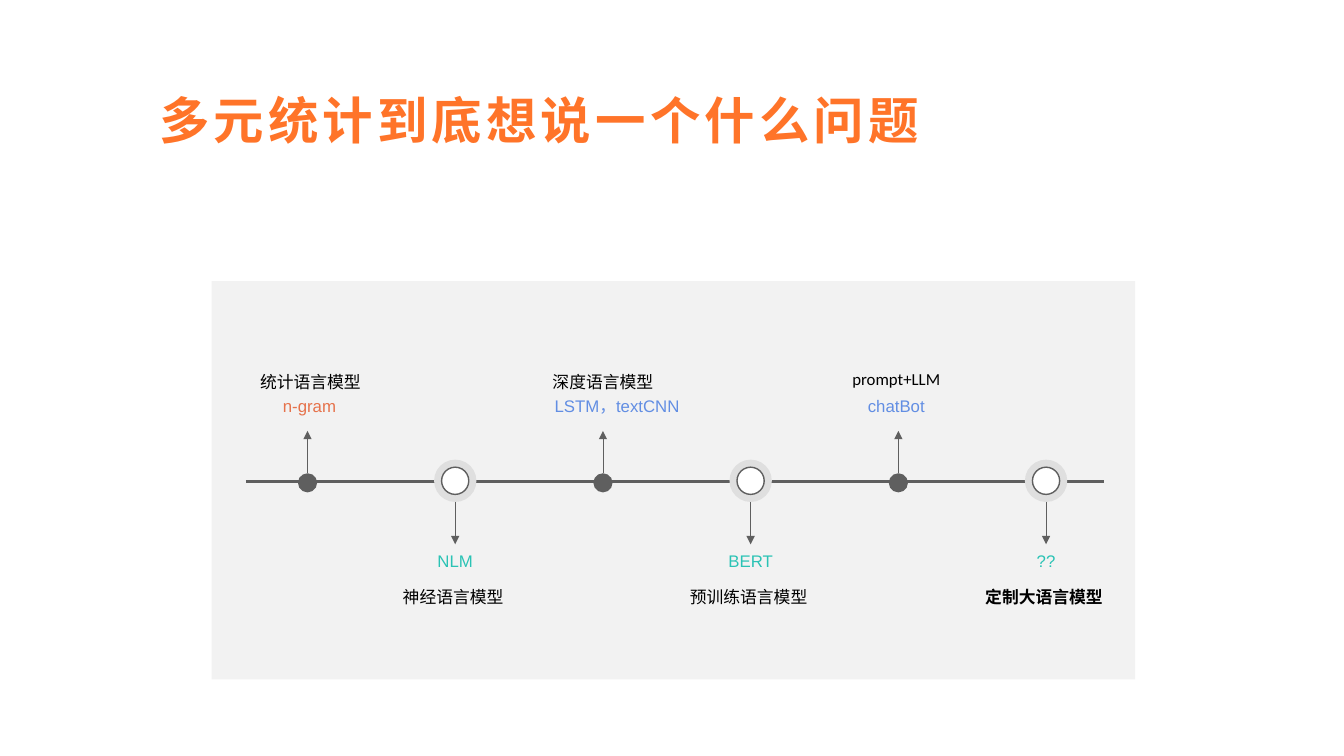
from dataclasses import dataclass

from lxml import etree
from pptx import Presentation
from pptx.dml.color import RGBColor
from pptx.enum.shapes import MSO_CONNECTOR, MSO_SHAPE
from pptx.enum.text import MSO_ANCHOR, PP_ALIGN
from pptx.oxml.ns import qn
from pptx.util import Inches, Pt

STRAIGHT = MSO_CONNECTOR.STRAIGHT
RECT, OVAL = MSO_SHAPE.RECTANGLE, MSO_SHAPE.OVAL
TOP, MIDDLE, BOTTOM = MSO_ANCHOR.TOP, MSO_ANCHOR.MIDDLE, MSO_ANCHOR.BOTTOM
LEFT, CENTER = PP_ALIGN.LEFT, PP_ALIGN.CENTER

CJK = "Noto Sans CJK SC"
GREY, BLACK, WHITE = "5F5F5F", "000000", "FFFFFF"
PANEL, RING, ORANGE = "F2F2F2", "DFDFDF", "FF7429"
CORAL, BLUE, TEAL = "E6724B", "628EE3", "2BC3B5"

# Timeline grid in inches: one column per stage, named rows
FIRST_X, COLUMN = 3.05, 1.465
AXIS_Y, DOT_Y, RING_Y = 4.78, 4.79, 4.77
DOT, RING_OUTER, RING_INNER, ARROW = 0.19, 0.42, 0.27, 0.42
EXAMPLE_H, NAME_W, NAME_H = 0.45, 1.67, 0.77
EXAMPLE_ABOVE, NAME_ABOVE = 3.82, 3.17
EXAMPLE_BELOW, NAME_BELOW = 5.35, 5.75


@dataclass
class Stage:
    """One model generation; the shifts move its texts off the column centre."""
    name: str
    example: str
    color: str
    name_shift: float = -0.02
    example_shift: float = 0.0
    example_w: float = 1.64
    name_h: float = NAME_H
    bold: bool = False


STAGES = [
    Stage("统计语言模型", "n-gram", CORAL, 0.03, 0.02),
    Stage("神经语言模型", "NLM", TEAL),
    Stage("深度语言模型", "LSTM，textCNN", BLUE, 0.0, 0.14, 1.92),
    Stage("预训练语言模型", "BERT", TEAL),
    Stage("prompt+LLM", "chatBot", BLUE, -0.02, -0.02, name_h=0.74),
    Stage("定制大语言模型", "??", TEAL, bold=True),
]


def rgb(color: str) -> RGBColor:
    return RGBColor.from_string(color)


def add_block(slide, kind, x: float, y: float, w: float, h: float,
              fill: str, line: str = "") -> None:
    sp = slide.shapes.add_shape(kind, Inches(x), Inches(y), Inches(w), Inches(h))
    sp.shadow.inherit = False
    sp.fill.solid()
    sp.fill.fore_color.rgb = rgb(fill)
    if line:
        sp.line.color.rgb = rgb(line)
        sp.line.width = Pt(1)
    else:
        sp.line.fill.background()


def add_circle(slide, cx: float, cy: float, size: float,
               fill: str, line: str = "") -> None:
    add_block(slide, OVAL, cx - size / 2, cy - size / 2, size, size, fill, line)


def add_line(slide, x1: float, y1: float, x2: float, y2: float,
             width: float, arrow: bool = False) -> None:
    c = slide.shapes.add_connector(
        STRAIGHT, Inches(x1), Inches(y1), Inches(x2), Inches(y2))
    c.line.color.rgb = rgb(GREY)
    c.line.width = Pt(width)
    if arrow:
        etree.SubElement(c.line._get_or_add_ln(), qn("a:tailEnd"), type="triangle")
    etree.SubElement(c._element.spPr, qn("a:effectLst"))


def add_text(slide, x: float, y: float, w: float, h: float, text: str,
             color: str, font: str, spacing: float, size: float = 12,
             anchor=TOP, align=CENTER, bold: bool = False, tracking: float = 0) -> None:
    """Add a one-run text box; tracking is letter spacing in points."""
    sp = slide.shapes.add_textbox(Inches(x), Inches(y), Inches(w), Inches(h))
    tf = sp.text_frame
    tf.word_wrap = True
    tf.vertical_anchor = anchor
    p = tf.paragraphs[0]
    p.alignment = align
    p.line_spacing = spacing
    r = p.add_run()
    r.text = text
    r.font.name = font
    r.font.size = Pt(size)
    r.font.bold = bold
    r.font.color.rgb = rgb(color)
    props = r._r.get_or_add_rPr()
    etree.SubElement(props, qn("a:ea"), typeface=CJK)
    if tracking:
        props.set("spc", str(int(tracking * 100)))


def add_stage(slide, column: int, stage: Stage) -> None:
    """Even columns point up from a dot, odd ones down from a ring."""
    x = FIRST_X + column * COLUMN
    if column % 2 == 0:
        add_circle(slide, x, DOT_Y, DOT, GREY)
        start = DOT_Y - DOT / 2
        end, example_y, name_y, anchor = start - ARROW, EXAMPLE_ABOVE, NAME_ABOVE, BOTTOM
    else:
        add_circle(slide, x, RING_Y, RING_OUTER, RING)
        add_circle(slide, x, RING_Y, RING_INNER, WHITE, GREY)
        start = RING_Y + RING_OUTER / 2
        end, example_y, name_y, anchor = start + ARROW, EXAMPLE_BELOW, NAME_BELOW, TOP
    add_line(slide, x, start, x, end, 0.5, arrow=True)
    add_text(slide, x + stage.example_shift - stage.example_w / 2, example_y,
             stage.example_w, EXAMPLE_H, stage.example, stage.color, "Arial", 1.3)
    add_text(slide, x + stage.name_shift - NAME_W / 2, name_y, NAME_W, stage.name_h,
             stage.name, BLACK, "Calibri", 1.1, anchor=anchor, bold=stage.bold)


def main() -> None:
    prs = Presentation()
    prs.slide_width, prs.slide_height = Inches(13.33), Inches(7.5)
    s = prs.slides.add_slide(prs.slide_layouts[6])
    add_block(s, RECT, 2.1, 2.79, 9.16, 3.95, PANEL)
    add_line(s, 2.44, AXIS_Y, 10.95, AXIS_Y, 2.25)
    for column, stage in enumerate(STAGES):
        add_stage(s, column, stage)
    add_text(s, 1.48, 0.4, 11.5, 1.45, "多元统计到底想说一个什么问题", ORANGE, CJK, 1.2,
             size=36, anchor=MIDDLE, align=LEFT, bold=True, tracking=3)
    prs.save("out.pptx")


if __name__ == "__main__":
    main()
